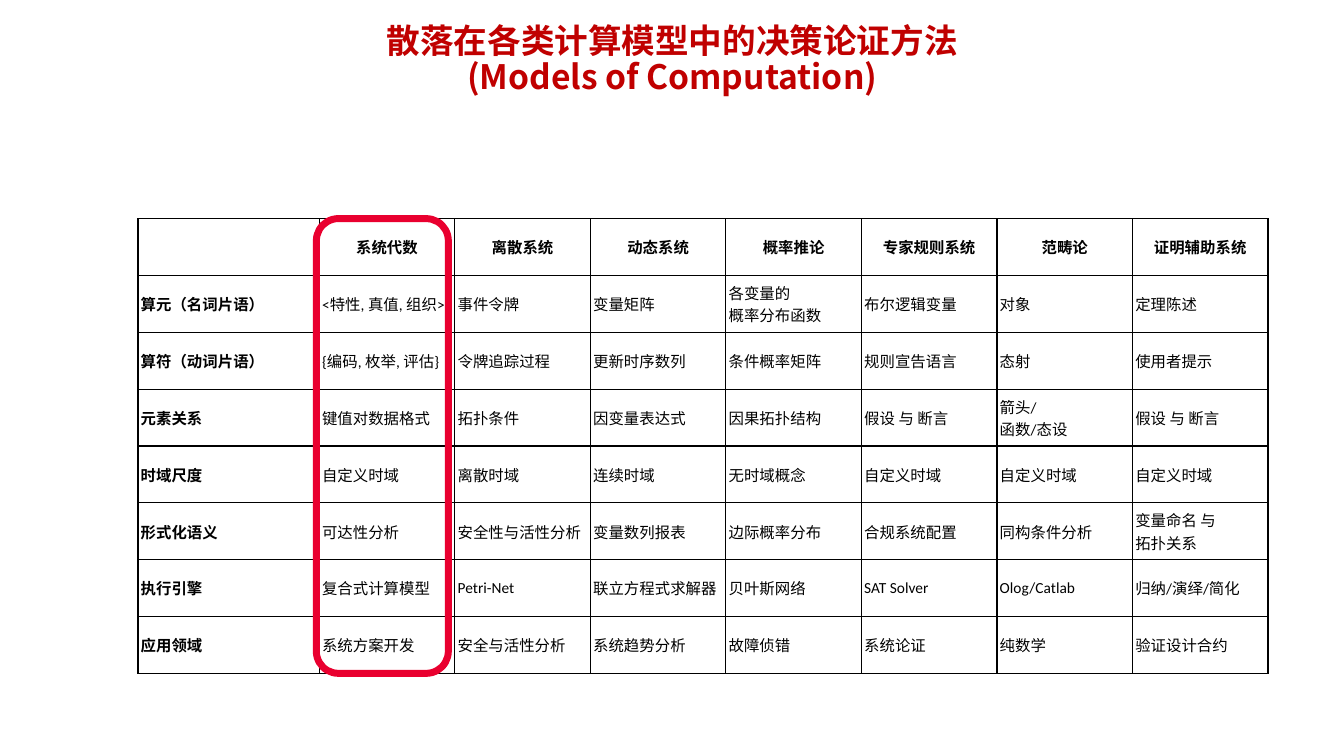
from copy import deepcopy
from dataclasses import dataclass

from lxml import etree
from pptx import Presentation
from pptx.dml.color import RGBColor
from pptx.enum.shapes import MSO_SHAPE
from pptx.enum.text import MSO_ANCHOR, MSO_AUTO_SIZE, PP_ALIGN
from pptx.oxml.ns import qn
from pptx.util import Pt

LEFT, CENTER = PP_ALIGN.LEFT, PP_ALIGN.CENTER
MIDDLE = MSO_ANCHOR.MIDDLE
NO_FIT = MSO_AUTO_SIZE.NONE
ROUND = MSO_SHAPE.ROUNDED_RECTANGLE
TITLE_ONLY = 5


@dataclass(frozen=True)
class Theme:
    title: str = "C00000"
    ink: str = "000000"
    mark: str = "E9002F"
    latin: str = "Calibri"
    asian: str = "Noto Sans CJK SC"
    head_size: float = 24
    cell_size: float = 11
    rule: float = 1
    mark_line: float = 5


@dataclass(frozen=True)
class Box:
    x: float
    y: float
    w: float
    h: float

    def place(self):
        return [Pt(v) for v in (self.x, self.y, self.w, self.h)]


THEME = Theme()
TITLE = "散落在各类计算模型中的决策论证方法\n(Models of Computation)"
LABEL_WIDTH = 129.6
ROWS = [
    ["", "系统代数", "离散系统", "动态系统", "概率推论", "专家规则系统", "范畴论",
     "证明辅助系统"],
    ["算元（名词片语）", "<特性, 真值, 组织>", "事件令牌", "变量矩阵",
     "各变量的\n概率分布函数", "布尔逻辑变量", "对象", "定理陈述"],
    ["算符（动词片语）", "{编码, 枚举, 评估}", "令牌追踪过程", "更新时序数列",
     "条件概率矩阵", "规则宣告语言", "态射", "使用者提示"],
    ["元素关系", "键值对数据格式", "拓扑条件", "因变量表达式", "因果拓扑结构",
     "假设 与 断言", "箭头/\n函数/态设", "假设 与 断言"],
    ["时域尺度", "自定义时域", "离散时域", "连续时域", "无时域概念", "自定义时域",
     "自定义时域", "自定义时域"],
    ["形式化语义", "可达性分析", "安全性与活性分析", "变量数列报表", "边际概率分布",
     "合规系统配置", "同构条件分析", "变量命名 与\n拓扑关系"],
    ["执行引擎", "复合式计算模型", "Petri-Net", "联立方程式求解器", "贝叶斯网络",
     "SAT Solver", "Olog/Catlab", "归纳/演绎/简化"],
    ["应用领域", "系统方案开发", "安全与活性分析", "系统趋势分析", "故障侦错",
     "系统论证", "纯数学", "验证设计合约"],
]


def assign(item, values):
    for name, value in values.items():
        setattr(item, name, value)


def write(para, text, align, color, **font):
    """Fill a paragraph; its line breaks take the same format as its runs."""
    para.text = text
    para.alignment = align
    for run in para.runs:
        assign(run.font, font)
        run.font.color.rgb = RGBColor.from_string(color)
        props = run.font._element
        etree.SubElement(props, qn("a:ea"), typeface=THEME.asian)
        for gap in para._p.findall(qn("a:br")):
            if gap.find(qn("a:rPr")) is None:
                gap.append(deepcopy(props))


def add_title(slide, box):
    title = slide.shapes.title
    title.left, title.top, title.width, title.height = box.place()
    frame = title.text_frame
    assign(frame, {
        "auto_size": NO_FIT, "word_wrap": True, "vertical_anchor": MIDDLE,
        "margin_left": Pt(9.4), "margin_right": Pt(9.4),
        "margin_top": Pt(5), "margin_bottom": Pt(5),
    })
    para = frame.paragraphs[0]
    write(para, TITLE, CENTER, THEME.title, name=THEME.asian,
          size=Pt(THEME.head_size), bold=True)
    para.line_spacing = 0.9


def rule_cell(cell):
    props = cell._tc.get_or_add_tcPr()
    for side in ("lnL", "lnR", "lnT", "lnB"):
        line = etree.SubElement(props, qn(f"a:{side}"), w=str(Pt(THEME.rule)))
        fill = etree.SubElement(line, qn("a:solidFill"))
        etree.SubElement(fill, qn("a:srgbClr"), val=THEME.ink)


def add_grid(slide, box):
    rows, cols = len(ROWS), len(ROWS[0])
    table = slide.shapes.add_table(rows, cols, *box.place()).table
    assign(table, {"first_row": False, "horz_banding": False})
    for c, col in enumerate(table.columns):
        col.width = Pt((box.w - LABEL_WIDTH) / (cols - 1) if c else LABEL_WIDTH)
    for r, row in enumerate(table.rows):
        row.height = Pt(box.h / rows)
        for c, text in enumerate(ROWS[r]):
            cell = table.cell(r, c)
            rule_cell(cell)
            cell.fill.background()
            assign(cell, {
                "vertical_anchor": MIDDLE,
                "margin_left": Pt(2), "margin_right": Pt(2),
                "margin_top": Pt(2), "margin_bottom": Pt(2),
            })
            write(cell.text_frame.paragraphs[0], text, LEFT if r else CENTER,
                  THEME.ink, name=THEME.latin, size=Pt(THEME.cell_size),
                  bold=r == 0 or c == 0)


def add_mark(slide, box):
    """Ring the first model column of the table in the given box."""
    ring = Box(box.x + LABEL_WIDTH - 2.1, box.y, 94.3, box.h)
    shape = slide.shapes.add_shape(ROUND, *ring.place())
    shape.shadow.inherit = False
    shape.fill.background()
    shape.line.color.rgb = RGBColor.from_string(THEME.mark)
    shape.line.width = Pt(THEME.mark_line)


def main():
    deck = Presentation()
    assign(deck, {"slide_width": Pt(960.5), "slide_height": Pt(540)})
    slide = deck.slides.add_slide(deck.slide_layouts[TITLE_ONLY])
    grid = Box(98.6, 156.2, 807.8, 324.8)
    add_title(slide, Box(48, 25, 864.7, 36.7))
    add_grid(slide, grid)
    add_mark(slide, grid)
    deck.save("out.pptx")


if __name__ == "__main__":
    main()
